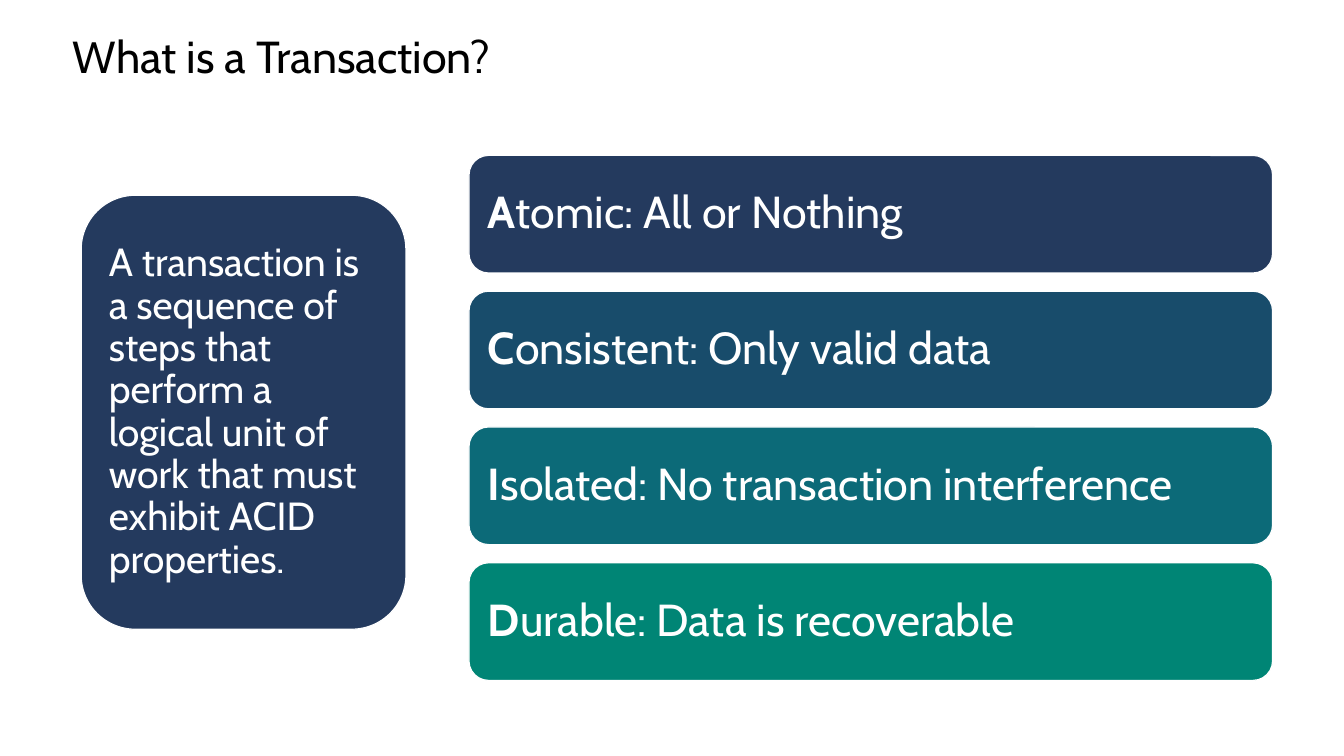
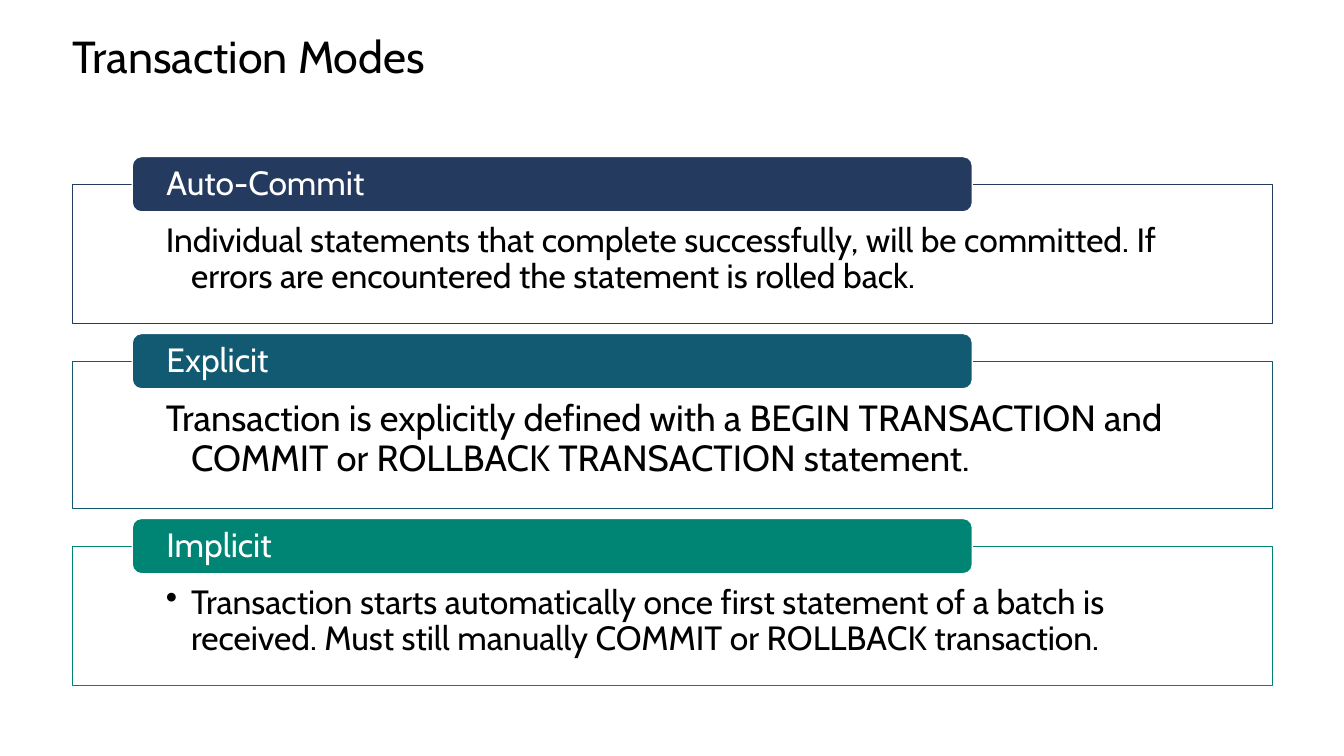
from lxml import etree
from pptx import Presentation
from pptx.dml.color import RGBColor
from pptx.enum import shapes, text
from pptx.oxml import ns
from pptx.util import Pt

FONT = "Cabin"
NAVY, BLUE, TEAL, PETROL, GREEN = "243A5E", "184C6B", "0C6A78", "125A71", "008575"
WHITE, BLACK = "FFFFFF", "000000"
LEFT, WIDTH = 52, 857


def write(sp, words, size=32, color=WHITE, lead="", anchor="MIDDLE",
          insets=(0, 0, 0, 0), level=0, hanging=0, bullet=None):
    """Fill a shape with one paragraph; lead is its bold beginning."""
    tf = sp.text_frame
    tf.word_wrap = True
    tf.auto_size = text.MSO_AUTO_SIZE.NONE
    tf.vertical_anchor = text.MSO_ANCHOR[anchor]
    tf.margin_left, tf.margin_top, tf.margin_right, tf.margin_bottom = map(Pt, insets)
    p = tf.paragraphs[0]
    p.alignment = text.PP_ALIGN.LEFT
    p.line_spacing = 0.9
    p.level = level
    for part, bold in ((lead, True), (words, False)):
        if part:
            r = p.add_run()
            r.text = part
            r.font.name, r.font.size, r.font.bold = FONT, Pt(size), bold
            r.font.color.rgb = RGBColor.from_string(color)
    if hanging:
        pPr = p._p.get_or_add_pPr()
        pPr.set("marL", str(Pt(hanging)))
        pPr.set("indent", str(Pt(-hanging)))
        if bullet:
            etree.SubElement(pPr, ns.qn("a:buChar"), char=bullet)


def add_box(slide, kind, x, y, w, h, fill, line=WHITE):
    sp = slide.shapes.add_shape(shapes.MSO_SHAPE[kind], Pt(x), Pt(y), Pt(w), Pt(h))
    sp.shadow.inherit = False
    sp.fill.solid()
    sp.fill.fore_color.rgb = RGBColor.from_string(fill)
    sp.line.color.rgb = RGBColor.from_string(line)
    sp.line.width = Pt(0.85)
    return sp


prs = Presentation()
prs.slide_width, prs.slide_height = Pt(960), Pt(540)

# The layout places the title for every slide
layout = prs.slide_layouts.get_by_name("Title Only")
title = layout.placeholders[0]
title.left, title.top, title.width, title.height = map(Pt, (LEFT, 25, WIDTH, 36))

slides = []
for heading in ("What is a Transaction?", "Transaction Modes"):
    slide = prs.slides.add_slide(layout)
    write(slide.shapes.title, heading, color=BLACK, anchor="TOP")
    slides.append(slide)
acid_slide, modes_slide = slides

# ACID properties
properties = [
    ("A", "tomic: All or Nothing", NAVY),
    ("C", "onsistent: Only valid data", BLUE),
    ("I", "solated: No transaction interference", TEAL),
    ("D", "urable: Data is recoverable", GREEN),
]
for i, (initial, words, color) in enumerate(properties):
    card = add_box(acid_slide, "ROUNDED_RECTANGLE", 335, 111 + 97 * i, 574, 84, color)
    write(card, words, lead=initial, insets=(9.4,) * 4)

definition = add_box(acid_slide, "ROUNDED_RECTANGLE", 58, 139.5, 232, 310, NAVY)
write(definition, "A transaction is a sequence of steps that perform a logical unit "
      "of work that must exhibit ACID properties.", size=28, insets=(8.5,) * 4)

# Transaction modes: a frame for each, with a tab across its top edge
modes = [
    ("Auto-Commit", "Individual statements that complete successfully, will be committed. "
     "If errors are encountered the statement is rolled back.", NAVY, 24, 99.4, None),
    ("Explicit", "Transaction is explicitly defined with a BEGIN TRANSACTION and COMMIT "
     "or ROLLBACK TRANSACTION statement.", PETROL, 26, 105.1, None),
    ("Implicit", "Transaction starts automatically once first statement of a batch is "
     "received. Must still manually COMMIT or ROLLBACK transaction.", GREEN, 24, 99.4, "•"),
]
top, gap, tab_height = 131.6, 27, 39.4
for name, words, color, size, height, bullet in modes:
    frame = add_box(modes_slide, "RECTANGLE", LEFT, top, WIDTH, height, WHITE, color)
    white = frame._element.spPr.find(ns.qn("a:solidFill"))[0]
    etree.SubElement(white, ns.qn("a:alpha"), val="90000")
    write(frame, words, size=size, color=BLACK, anchor="TOP",
          insets=(66.5, 28, 66.5, 14), level=1, hanging=18, bullet=bullet)
    tab = add_box(modes_slide, "ROUNDED_RECTANGLE", 94.5, top - tab_height / 2,
                  600, tab_height, color)
    write(tab, name, size=24, insets=(22.5, 0, 22.5, 0))
    top += height + gap

prs.save("out.pptx")
